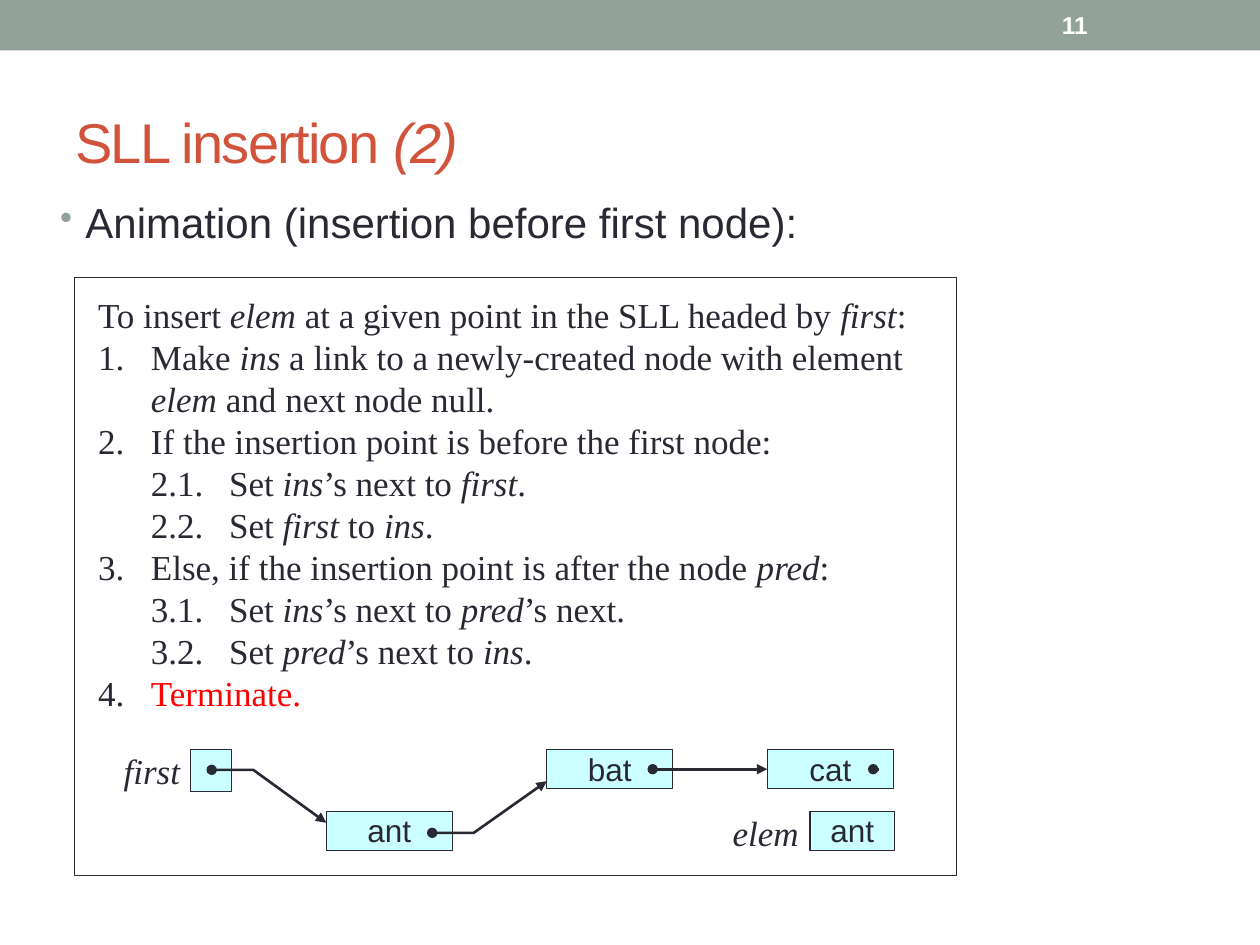
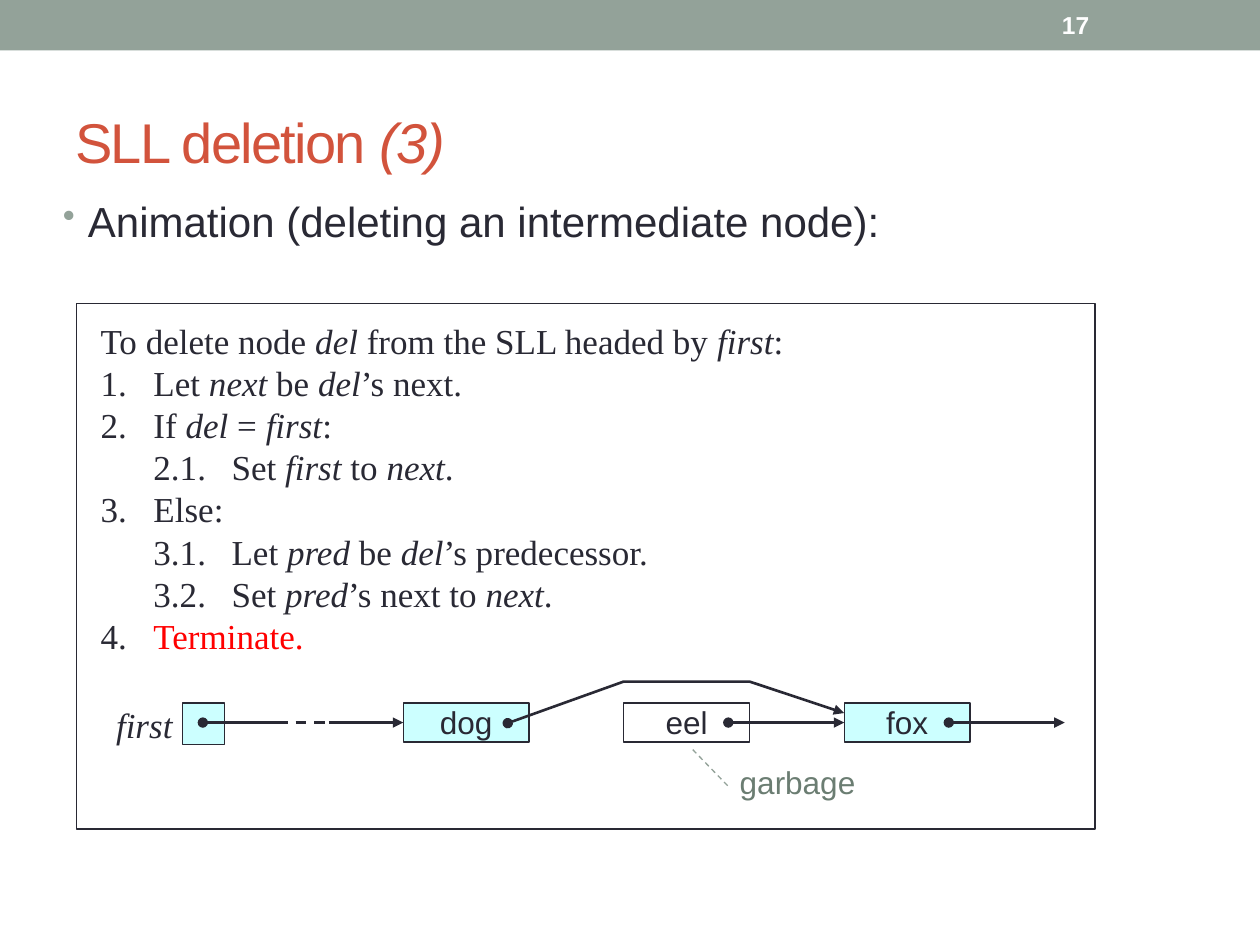
from lxml import etree
from pptx import Presentation
from pptx.dml.color import RGBColor
from pptx.enum.dml import MSO_LINE
from pptx.enum.shapes import MSO_CONNECTOR, MSO_SHAPE
from pptx.enum.text import MSO_ANCHOR, PP_ALIGN
from pptx.oxml.ns import qn
from pptx.util import Inches, Pt

SAGE = RGBColor(0x93, 0xA2, 0x99)
DARK_SAGE = RGBColor(0x6B, 0x7D, 0x72)
INK = RGBColor(0x29, 0x29, 0x34)
BRICK = RGBColor(0xD2, 0x53, 0x3C)
RED = RGBColor(0xFF, 0, 0)
WHITE = RGBColor(0xFF, 0xFF, 0xFF)
PALE_CYAN = RGBColor(0xCC, 0xFF, 0xFF)

RECTANGLE = MSO_SHAPE.RECTANGLE
CALLOUT = MSO_SHAPE.LINE_CALLOUT_1_NO_BORDER
STRAIGHT = MSO_CONNECTOR.STRAIGHT
DASH = MSO_LINE.DASH
TOP, MIDDLE = MSO_ANCHOR.TOP, MSO_ANCHOR.MIDDLE
LEFT, CENTER, RIGHT = PP_ALIGN.LEFT, PP_ALIGN.CENTER, PP_ALIGN.RIGHT
LEFT_SIDE = 1

SANS, SERIF = "Arial", "Times New Roman"
TITLE = {"name": SANS, "size": Pt(32), "color": BRICK}
HEADING = {"name": SANS, "size": Pt(24), "color": INK}
NUMBER = {"name": SANS, "size": Pt(14), "color": WHITE, "bold": True}
STEP = {"name": SERIF, "size": Pt(20), "color": INK}
VALUE = {"name": SANS, "size": Pt(18), "color": INK}
GARBAGE = VALUE | {"color": DARK_SAGE}

LINE_RATIO = 1.2
STEP_INDENTS = [0, 0.42, 1.04]
NODE_WIDTH, NODE_HEIGHT = 1, 0.31
LINK_SIZE = 0.33
LINK_INSET = 0.16
FINAL_STEP = "Terminate."

INSERTION = [
    "To insert *elem* at a given point in the SLL headed by *first*:",
    "1.\tMake *ins* a link to a newly-created node with element *elem* and next node null.",
    "2.\tIf the insertion point is before the first node:",
    "2.1.\tSet *ins*’s next to *first*.",
    "2.2.\tSet *first* to *ins*.",
    "3.\tElse, if the insertion point is after the node *pred*:",
    "3.1.\tSet *ins*’s next to *pred*’s next.",
    "3.2.\tSet *pred*’s next to *ins*.",
    "4.\t" + FINAL_STEP,
]
DELETION = [
    "To delete node *del* from the SLL headed by *first*:",
    "1.\tLet *next* be *del*’s next.",
    "2.\tIf *del* = *first*:",
    "2.1.\tSet *first* to *next*.",
    "3.\tElse:",
    "3.1.\tLet *pred* be *del*’s predecessor.",
    "3.2.\tSet *pred*’s next to *next*.",
    "4.\t" + FINAL_STEP,
]


def apply(target, values):
    for name, value in values.items():
        setattr(target, name, value)


def inches(*lengths):
    return [Inches(length) for length in lengths]


def write(para, text, style):
    spans = []
    for index, part in enumerate(text.split("*")):
        if part:
            span = para.add_run()
            span.text = part
            apply(span.font, {k: v for k, v in style.items() if k != "color"})
            span.font.italic = index % 2 == 1
            span.font.color.rgb = style["color"]
            spans.append(span)
    return spans


def set_indent(para, margin, hanging):
    properties = para._p.get_or_add_pPr()
    properties.set("marL", str(Inches(margin)))
    properties.set("indent", str(-Inches(hanging)))
    return properties


def prepare_frame(shape, inset=True, anchor=TOP):
    frame = shape.text_frame
    apply(frame, {"word_wrap": True, "vertical_anchor": anchor})
    if not inset:
        for side in ("left", "top", "right", "bottom"):
            setattr(frame, f"margin_{side}", 0)
    return frame


def set_line(line, width, color=INK, dash=None):
    line.color.rgb = color
    line.width = Pt(width)
    if dash:
        line.dash_style = dash


def add_text(page, at, text, style, anchor=TOP):
    frame = prepare_frame(page.shapes.add_textbox(*inches(*at)), anchor=anchor)
    para = frame.paragraphs[0]
    return para, write(para, text, style)


def add_tight_text(shape, text, style, align, spacing=None):
    para = prepare_frame(shape, inset=False).paragraphs[0]
    para.alignment = align
    para.line_spacing = spacing or Pt(style["size"].pt * LINE_RATIO)
    write(para, text, style)


def add_label(page, at, text):
    box = page.shapes.add_textbox(*inches(*at))
    add_tight_text(box, f"*{text}*", STEP, RIGHT)


def add_box(page, at, fill=PALE_CYAN, line=True):
    box = page.shapes.add_shape(RECTANGLE, *inches(*at))
    box.shadow.inherit = False
    box.fill.solid()
    box.fill.fore_color.rgb = fill
    if line:
        set_line(box.line, 0.75)
    else:
        box.line.fill.background()
    return box


def add_node(page, left, top, value, fill=PALE_CYAN, width=NODE_WIDTH):
    node = add_box(page, (left, top, width, NODE_HEIGHT), fill)
    add_tight_text(node, value, VALUE, CENTER)
    return node


def add_ends(shape, head, tail):
    line = shape.line._get_or_add_ln()
    for tag, kind in (("a:headEnd", head), ("a:tailEnd", tail)):
        if kind:
            etree.SubElement(line, qn(tag), type=kind)


def add_link(page, start, end, y, head="oval", tail="triangle", dash=None, target=None):
    link = page.shapes.add_connector(STRAIGHT, *inches(start, y, end, y))
    set_line(link.line, 1.5, dash=dash)
    add_ends(link, head, tail)
    etree.SubElement(link._element.spPr, qn("a:effectLst"))
    if target is not None:
        link.end_connect(target, LEFT_SIDE)


def add_bent_link(page, *points):
    start, *rest = [inches(*point) for point in points]
    builder = page.shapes.build_freeform(*start)
    builder.add_line_segments(rest, close=False)
    link = builder.convert_to_shape()
    link.shadow.inherit = False
    link.fill.background()
    set_line(link.line, 1.5)
    add_ends(link, "oval", "triangle")


def add_callout(page, at, text, adjustments):
    callout = page.shapes.add_shape(CALLOUT, *inches(*at))
    callout.shadow.inherit = False
    callout.fill.background()
    set_line(callout.line, 0.75, SAGE, DASH)
    for index, value in enumerate(adjustments):
        callout.adjustments[index] = value
    add_tight_text(callout, text, GARBAGE, CENTER, Pt(18))


def add_steps(page, at, steps):
    frame = prepare_frame(page.shapes.add_textbox(*inches(*at)))
    for index, step in enumerate(steps):
        para = frame.paragraphs[0] if index == 0 else frame.add_paragraph()
        apply(para, {"alignment": LEFT, "line_spacing": Pt(20 * LINE_RATIO)})
        number, tab, body = step.rpartition("\t")
        depth = number.count(".")
        if depth:
            margin = STEP_INDENTS[depth]
            set_indent(para, margin, margin - STEP_INDENTS[depth - 1])
        write(para, number + tab, STEP)
        write(para, body, STEP | {"color": RED} if body == FINAL_STEP else STEP)


def add_heading(page, left, top, text):
    para, _ = add_text(page, (left, top, 8.33, 5.25), text, HEADING)
    para.line_spacing = Pt(24 * LINE_RATIO)
    properties = set_indent(para, 0.2, 0.2)
    color = etree.SubElement(properties, qn("a:buClr"))
    etree.SubElement(color, qn("a:srgbClr"), val=str(SAGE))
    etree.SubElement(properties, qn("a:buSzPct"), val="85000")
    etree.SubElement(properties, qn("a:buChar"), char="•")


def add_page(deck, title, number):
    page = deck.slides.add_slide(deck.slide_layouts[6])
    add_box(page, (0, 0, 10, 0.4), SAGE, line=False)
    _, spans = add_text(page, (0.5, 0.58, 9, 1.08), title, TITLE, MIDDLE)
    for span in spans:
        span._r.get_or_add_rPr().set("spc", "-100")
    add_text(page, (8.33, 0.02, 1.17, 0.36), number, NUMBER, MIDDLE)
    return page


def build_insertion(deck):
    page = add_page(deck, "SLL insertion *(2)*", "11")
    add_heading(page, 0.38, 1.51, "Animation (insertion before first node):")
    add_box(page, (0.59, 2.2, 7, 4.75), WHITE)
    add_steps(page, (0.68, 2.28, 6.83, 3.43), INSERTION)

    upper, lower = 5.95, 6.44
    upper_link = upper + NODE_HEIGHT / 2
    add_label(page, (0.93, upper, 0.5, LINK_SIZE), "first")
    add_box(page, (1.51, upper, LINK_SIZE, LINK_SIZE))
    add_node(page, 2.59, lower, "ant")
    add_node(page, 4.34, upper, "bat")
    cat = add_node(page, 6.09, upper, "cat")
    add_label(page, (5.76, lower, 0.58, LINK_SIZE), "elem")
    add_node(page, 6.43, lower, "ant", width=0.67)

    add_link(page, 5.18, 6.09, upper_link, target=cat)
    add_link(page, 6.93, 6.97, upper_link, tail=None)
    add_bent_link(page, (1.68, 6.11), (2.01, 6.11), (2.59, 6.53))
    add_bent_link(page, (3.43, 6.61), (3.76, 6.61), (4.34, 6.2))


def build_deletion(deck):
    page = add_page(deck, "SLL deletion *(3)*", "17")
    add_heading(page, 0.4, 1.5, "Animation (deleting an intermediate node):")
    add_box(page, (0.61, 2.41, 8.08, 4.17), WHITE)
    add_steps(page, (0.7, 2.49, 6.83, 2.77), DELETION)

    top = 5.58
    link = top + NODE_HEIGHT / 2
    add_label(page, (0.7, top, 0.67, LINK_SIZE), "first")
    add_box(page, (1.45, top, LINK_SIZE, LINK_SIZE))
    fills = {"dog": PALE_CYAN, "eel": WHITE, "fox": PALE_CYAN}
    nodes = {
        value: add_node(page, 3.2 + 1.75 * index, top, value, fill)
        for index, (value, fill) in enumerate(fills.items())
    }

    add_link(page, 1.45 + LINK_INSET, 2.2, link, tail=None)
    add_link(page, 2.2, 2.61, link, head=None, tail=None, dash=DASH)
    add_link(page, 2.61, 3.2, link, head=None, target=nodes["dog"])
    add_link(page, 5.78, 6.7, link, target=nodes["fox"])
    add_link(page, 7.53, 8.45, link)
    add_bent_link(page, (4.03, 5.74), (4.95, 5.41), (5.95, 5.41), (6.7, 5.66))
    add_callout(page, (5.86, 6.11, 0.94, 0.27), "garbage", (0.47, -0.09, -0.65, -0.4))


def main():
    deck = Presentation()
    apply(deck, {"slide_width": Inches(10), "slide_height": Inches(7.5)})
    build_insertion(deck)
    build_deletion(deck)
    deck.save("out.pptx")


if __name__ == "__main__":
    main()
